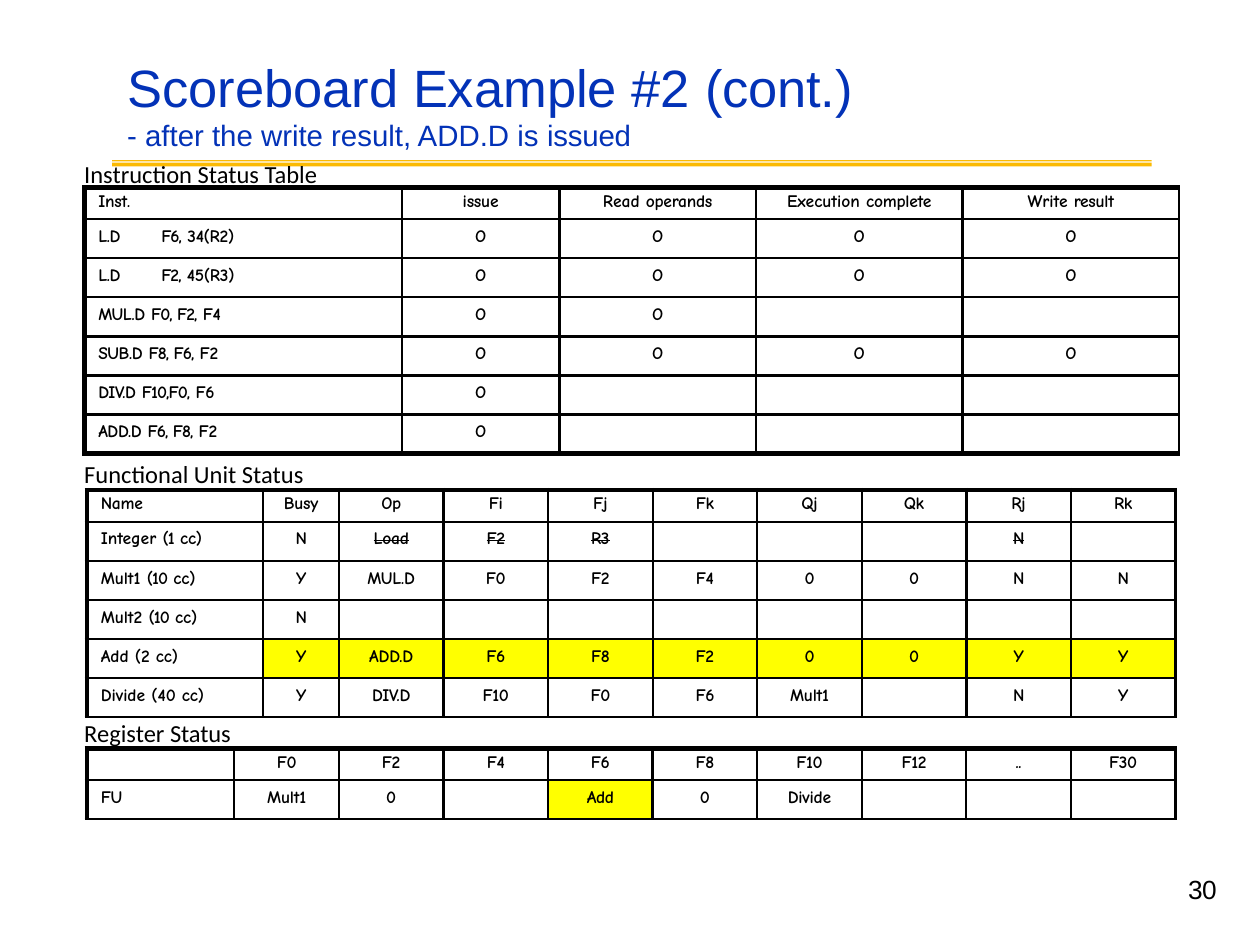
from lxml.etree import SubElement
from pptx import Presentation
from pptx.dml.color import RGBColor
from pptx.enum.text import MSO_ANCHOR, MSO_AUTO_SIZE, PP_ALIGN
from pptx.oxml import parse_xml
from pptx.oxml.ns import nsdecls, qn
from pptx.util import Inches, Pt

BLACK = RGBColor(0x00, 0x00, 0x00)
BLUE = RGBColor(0x03, 0x32, 0xB7)
GOLD = RGBColor(0xFB, 0xBA, 0x03)
YELLOW = RGBColor(0xFF, 0xFF, 0x00)

THIN, THICK = 1.5, 3
HEADER_HEIGHT, ROW_HEIGHT = 0.25, 0.31
REGISTER_WIDTH = 0.83
LABEL_LEFT = 0.57

# A cell is a string, or a tuple of strings that become separate runs.
INSTRUCTIONS = [
    ["Inst.", "issue", ("Read ", "operands"), ("Execution ", "complete"), ("Write ", "result")],
    [("L.D\t", "F6, ", "34(R2)"), "O", "O", "O", "O"],
    [("L.D\t", "F2, ", "45(R3)"), "O", "O", "O", "O"],
    [("MUL.D ", "F0, F2, ", "F4"), "O", "O", "", ""],
    [("SUB.D ", "F8, F6, ", "F2"), "O", "O", "O", "O"],
    [("DIV.D ", "F10,F0, ", "F6"), "O", "", "", ""],
    [("ADD.D ", "F6, F8, ", "F2"), "O", "", "", ""],
]
UNITS = [
    ["Name", "Busy", "Op", "Fi", "Fj", "Fk", "Qj", "Qk", "Rj", "Rk"],
    [("Integer ", "(1 ", "cc)"), "N", "Load", "F2", "R3", "", "", "", "N", ""],
    [("Mult1 ", "(10 ", "cc)"), "Y", "MUL.D", "F0", "F2", "F4", "0", "0", "N", "N"],
    [("Mult2 ", "(10 ", "cc)"), "N", "", "", "", "", "", "", "", ""],
    [("Add (2 ", "cc)"), "Y", "ADD.D", "F6", "F8", "F2", "0", "0", "Y", "Y"],
    [("Divide (40 ", "cc)"), "Y", "DIV.D", "F10", "F0", "F6", "Mult1", "", "N", "Y"],
]
REGISTERS = [
    ["", "F0", "F2", "F4", "F6", "F8", "F10", "F12", "..", "F30"],
    ["FU", "Mult1", "0", "", "Add", "0", "Divide", "", "", ""],
]


def add_span(para, text, font, size, color=BLACK, spacing=0.0):
    span = para.add_run()
    span.text = text
    span.font.name = font
    span.font.size = Pt(size)
    span.font.color.rgb = color
    span.font.bold = False
    if spacing:
        span.font._element.set("spc", str(round(spacing * 100)))
    return span


def indent(para, inches):
    properties = para._p.get_or_add_pPr()
    properties.set("marL", str(Inches(inches)))
    properties.set("indent", "0")
    return properties


def letter_spacings(parts):
    """Give one letter spacing, in points, for each run of a cell."""
    if len(parts) == 1:
        length = len(parts[0])
        return [-0.5 if length == 1 else -0.2 if length <= 3 else -0.1]
    first = -0.2 if "." in parts[0] else 0
    return [first] + [-0.5] * (len(parts) - 2) + [-0.1]


def set_borders(cell, **widths):
    properties = cell._tc.get_or_add_tcPr()
    for place, side in enumerate("LRTB"):
        line = parse_xml(
            f'<a:ln{side} {nsdecls("a")} w="{Pt(widths.get(side, THIN))}">'
            f'<a:solidFill><a:srgbClr val="{BLACK}"/></a:solidFill></a:ln{side}>')
        properties.insert(place, line)


def fill_cell(cell, content, is_first_column, is_header, struck):
    cell.margin_left = cell.margin_right = cell.margin_bottom = 0
    cell.margin_top = Inches(0.03 if is_header else 0.06)
    para = cell.text_frame.paragraphs[0]
    if not content:
        SubElement(para._p, qn("a:endParaRPr"), sz="1000")
        return
    parts = (content,) if isinstance(content, str) else content
    if is_first_column:
        properties = indent(para, 0.11)
        if "\t" in parts[0]:
            tabs = SubElement(properties, qn("a:tabLst"))
            SubElement(tabs, qn("a:tab"), pos=str(Inches(0.51)), algn="l")
    else:
        para.alignment = PP_ALIGN.CENTER
    for text, spacing in zip(parts, letter_spacings(parts)):
        span = add_span(para, text, "Comic Neue", 10, spacing=spacing)
        span.font.bold = True
        if struck:
            span.font._element.set("strike", "sngStrike")


def add_status_table(page, left, top, widths, rows, highlighted=(), struck=(), bottom=THIN):
    heights = [HEADER_HEIGHT] + [ROW_HEIGHT] * (len(rows) - 1)
    table = page.shapes.add_table(
        len(rows), len(widths), Inches(left), Inches(top),
        Inches(sum(widths)), Inches(sum(heights))).table
    table.first_row = table.horz_banding = False
    for column, width in zip(table.columns, widths):
        column.width = Inches(width)
    for r, row in enumerate(rows):
        table.rows[r].height = Inches(heights[r])
        for c, content in enumerate(row):
            cell = table.cell(r, c)
            fill_cell(cell, content, c == 0, r == 0, (r, c) in struck)
            if (r, c) in highlighted:
                cell.fill.solid()
                cell.fill.fore_color.rgb = YELLOW
            else:
                cell.fill.background()
            set_borders(cell, L=THICK if c == 0 else THIN, T=THICK if r == 0 else THIN,
                        B=bottom if r == len(rows) - 1 else THIN)


def add_title(page):
    title = page.shapes.title
    title.left, title.top = Inches(1), Inches(0.44)
    title.width, title.height = Inches(8.09), Inches(0.77)
    frame = title.text_frame
    frame.word_wrap = True
    frame.auto_size = MSO_AUTO_SIZE.SHAPE_TO_FIT_TEXT
    frame.vertical_anchor = MSO_ANCHOR.TOP
    frame.margin_left = frame.margin_right = frame.margin_bottom = 0
    frame.margin_top = Inches(0.01)
    lines = [
        (30, 35.2, "Scoreboard Example #2 ", "(cont.)"),
        (16.8, 19.3, "- after the write result, ADD.D is ", "issued"),
    ]
    for number, (size, line_height, start, end) in enumerate(lines):
        para = frame.add_paragraph() if number else frame.paragraphs[0]
        indent(para, 0.01)
        para.alignment = PP_ALIGN.LEFT
        para.line_spacing = Pt(line_height)
        para.space_before = Pt(0)
        add_span(para, start, "Arial", size, BLUE)
        add_span(para, end, "Arial", size, BLUE, -0.1)


def add_title_rule(page):
    """Draw a thin and a thick gold bar as one outline, in hundredths of an inch."""
    left, right = 89, 914
    builder = page.shapes.build_freeform(left, 127, scale=Inches(1) / 100)
    for top, bottom in ((127, 128), (129, 132)):
        builder.move_to(left, top)
        builder.add_line_segments([(right, top), (right, bottom), (left, bottom)], close=True)
    rule = builder.convert_to_shape()
    rule.shadow.inherit = False
    rule.fill.solid()
    rule.fill.fore_color.rgb = GOLD
    rule.line.fill.background()


def add_text_box(page, left, top, width, height):
    box = page.shapes.add_textbox(Inches(left), Inches(top), Inches(width), Inches(height))
    box.text_frame.word_wrap = True
    box.text_frame.auto_size = MSO_AUTO_SIZE.SHAPE_TO_FIT_TEXT
    return box.text_frame


def add_label(page, top, width, *parts):
    para = add_text_box(page, LABEL_LEFT, top, width, 0.34).paragraphs[0]
    for number, text in enumerate(parts):
        add_span(para, text, "Calibri", 14, spacing=-0.1 if number else 0)


def add_page_number(page, number):
    frame = add_text_box(page, 9.28, 6.94, 0.42, 0.48)
    frame.margin_left = frame.margin_right = frame.margin_top = frame.margin_bottom = 0
    para = frame.paragraphs[0]
    indent(para, 0.15)
    para.line_spacing = Pt(17.5)
    add_span(para, number, "Arial", 15, spacing=-0.4)


def main():
    deck = Presentation()
    deck.slide_width, deck.slide_height = Inches(10), Inches(7.5)
    page = deck.slides.add_slide(deck.slide_layouts[5])
    add_title_rule(page)
    add_status_table(page, 0.67, 1.49, [2.52, 1.25, 1.56, 1.64, 1.72], INSTRUCTIONS,
                     bottom=THICK)
    add_status_table(page, 0.69, 3.89, [1.4, 0.6] + [REGISTER_WIDTH] * 8, UNITS,
                     highlighted=[(4, c) for c in range(1, 10)],
                     struck=[(1, c) for c in range(2, 10)])
    add_status_table(page, 0.69, 5.94, [1.17] + [REGISTER_WIDTH] * 9, REGISTERS,
                     highlighted=[(1, 4)])
    add_title(page)
    add_page_number(page, "30")
    add_label(page, 5.65, 1.37, "Register ", "Status")
    add_label(page, 3.59, 2.13, "Functional Unit Status")
    add_label(page, 1.21, 2.4, "Instruction Status Table")
    deck.save("out.pptx")


if __name__ == "__main__":
    main()
